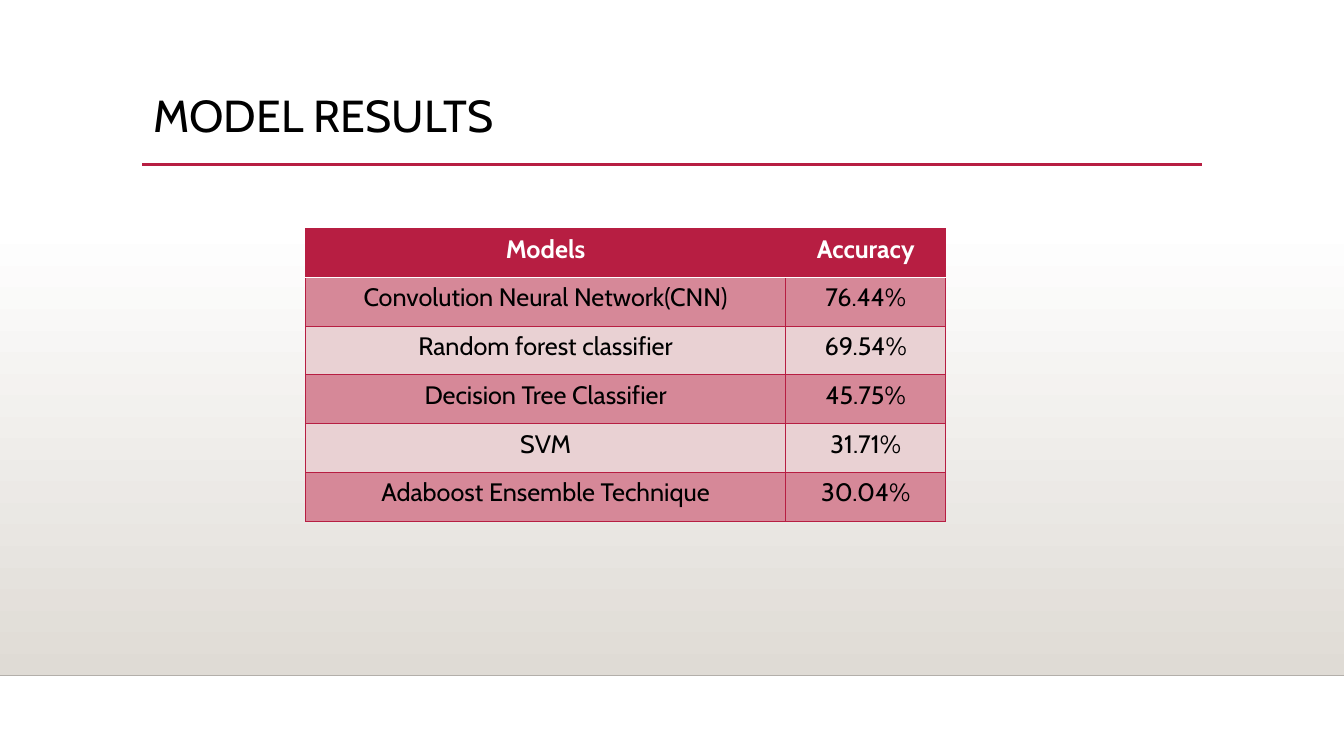
from pptx import Presentation, util as u
from pptx.dml.color import RGBColor
from pptx.enum import shapes, text
from pptx.oxml import parse_xml
from pptx.oxml.ns import nsdecls

RED, WHITE, BLACK = "B71E42", "FFFFFF", "000000"
BAND_DARK, BAND_LIGHT = "D68898", "E9D1D3"
STONE, FLOOR_EDGE = "DFDBD5", "B3AFAA"
RESULTS = [
    ("Models", "Accuracy"),
    ("Convolution Neural Network(CNN)", "76.44%"),
    ("Random forest classifier", "69.54%"),
    ("Decision Tree Classifier", "45.75%"),
    ("SVM", "31.71%"),
    ("Adaboost Ensemble Technique", "30.04%"),
]


def color(value):
    """Turn a hex string into a colour."""
    return RGBColor.from_string(value)


class Deck:
    """Holds the style and the current slide; places are percent of its size."""

    font = "Cabin"

    def __init__(self, width, height):
        """Start a presentation with one blank slide."""
        self.presentation = Presentation()
        self.presentation.slide_width = u.Inches(width)
        self.presentation.slide_height = u.Inches(height)
        self.slide = self.presentation.slides.add_slide(self.presentation.slide_layouts[6])

    def x(self, share):
        """Percent of the slide's width as a length."""
        return round(self.presentation.slide_width * share / 100)

    def y(self, share):
        """Percent of the slide's height as a length."""
        return round(self.presentation.slide_height * share / 100)

    def box(self, left, top, width, height):
        """Left, top, width and height as lengths."""
        return self.x(left), self.y(top), self.x(width), self.y(height)

    def style(self, paragraph, size, ink, bold=False):
        """Set the font of a whole paragraph."""
        font = paragraph.font
        font.name, font.size, font.bold = self.font, u.Pt(size), bold
        font.color.rgb = color(ink)

    def gradient(self, place, top_color, bottom_color):
        """Draw a rectangle shaded from top to bottom."""
        shape = self.slide.shapes.add_shape(shapes.MSO_SHAPE.RECTANGLE, *self.box(*place))
        shape.shadow.inherit = False
        shape.line.fill.background()
        shape.fill.gradient()
        shape.fill.gradient_angle = 270
        for stop, value in zip(shape.fill.gradient_stops, (top_color, bottom_color)):
            stop.color.rgb = color(value)

    def rule(self, left, right, level, ink, width):
        """Draw a horizontal line."""
        line = self.slide.shapes.add_connector(
            shapes.MSO_CONNECTOR.STRAIGHT,
            self.x(left), self.y(level), self.x(right), self.y(level))
        line.line.color.rgb = color(ink)
        line.line.width = u.Pt(width)
        line._element.spPr.append(parse_xml(f"<a:effectLst {nsdecls('a')}/>"))

    def title(self, place, words, size):
        """Write the slide title."""
        frame = self.slide.shapes.add_textbox(*self.box(*place)).text_frame
        frame.word_wrap = True
        frame.vertical_anchor = text.MSO_ANCHOR.TOP
        paragraph = frame.paragraphs[0]
        paragraph.text, paragraph.line_spacing = words, 0.9
        self.style(paragraph, size, BLACK)

    def border(self, cell, side, ink, width):
        """Draw one border of a cell; call before the cell is filled."""
        cell._tc.get_or_add_tcPr().append(parse_xml(
            f'<a:ln{side} {nsdecls("a")} w="{u.Pt(width)}"><a:solidFill>'
            f'<a:srgbClr val="{ink}"/></a:solidFill></a:ln{side}>'))

    def cell(self, cell, words, row):
        """Fill one table cell according to its row."""
        header = row == 0
        white_side = {0: "B", 1: "T"}.get(row)
        for side in "LRTB":
            self.border(cell, side, *((WHITE, 1.25) if side == white_side else (RED, 0.75)))
        cell.fill.solid()
        cell.fill.fore_color.rgb = color(
            RED if header else BAND_DARK if row % 2 else BAND_LIGHT)
        paragraph = cell.text_frame.paragraphs[0]
        paragraph.text = words
        paragraph.alignment = text.PP_ALIGN.CENTER
        self.style(paragraph, 18, WHITE if header else BLACK, header)

    def table(self, place, rows, column_shares):
        """Draw a table with a header row and banded body."""
        table = self.slide.shapes.add_table(
            len(rows), len(column_shares), *self.box(*place)).table
        table.horz_banding = False
        for column, share in zip(table.columns, column_shares):
            column.width = self.x(place[2] * share)
        for row, values in enumerate(rows):
            for column, words in enumerate(values):
                self.cell(table.cell(row, column), words, row)


deck = Deck(13.33, 7.5)
deck.gradient((0, 29.47, 100, 59.86), WHITE, STONE)
deck.rule(0, 100, 89.33, FLOOR_EDGE, 1)
deck.rule(10.58, 89.42, 21.73, RED, 2.5)
deck.title((10.65, 11.73, 78.77, 15.33), "MODEL RESULTS", 32)
deck.table((22.73, 30.27, 47.64, 38.67), RESULTS, (0.75, 0.25))
deck.presentation.save("out.pptx")
